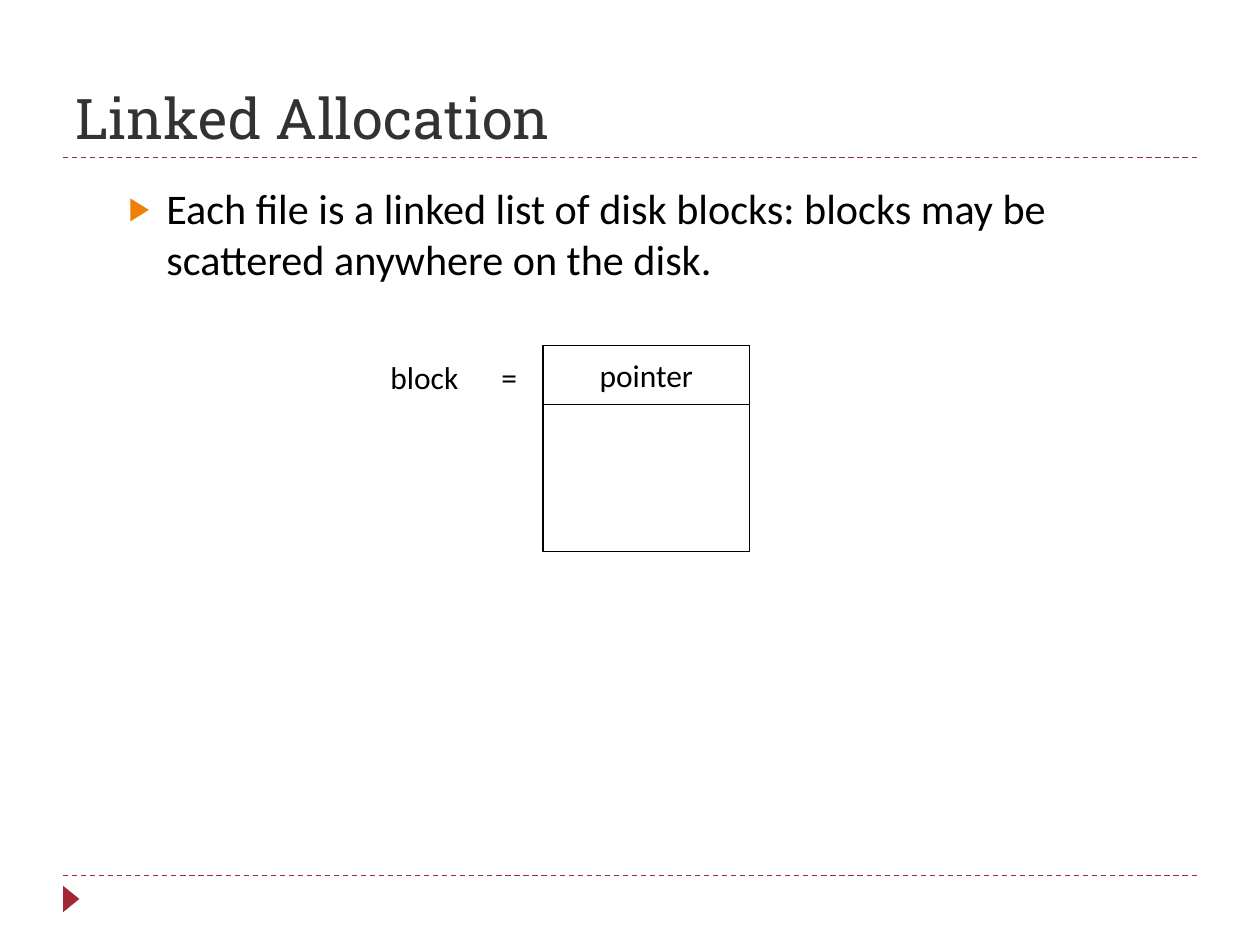
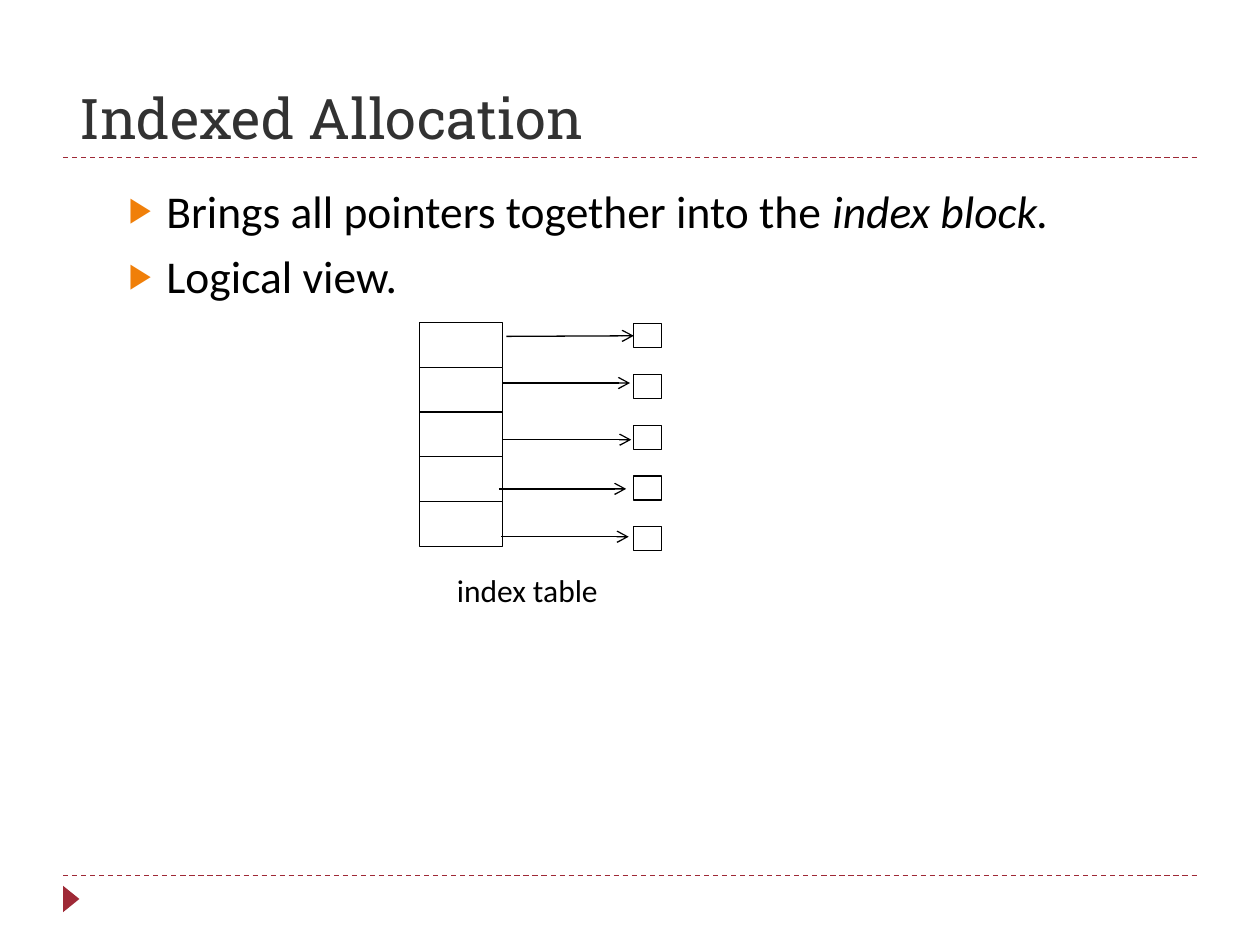
"""Two slides on file allocation: linked blocks and an index table."""
from lxml import etree
from pptx import Presentation
from pptx.dml.color import RGBColor
from pptx.enum import dml, shapes, text
from pptx.oxml import ns
from pptx.util import Inches, Pt

COLORS = {"rule": "9F2936", "title": "323232", "bullet": "F07F09",
          "ink": "000000", "paper": "FFFFFF"}
FONTS = {"head": "Roboto Slab", "body": "Calibri"}
RULES = (6.95, 1.25)
LINKED = {
    "title": "Linked Allocation", "spot": (0.5, 0.17, 9, 1.08),
    "size": 24.1, "body": (0.92, 1.4, 8.04, 0.81),
    "items": [[("Each file is a linked list of disk blocks: blocks may be "
                "scattered anywhere on the disk.", False)]],
}
INDEXED = {
    "title": "Indexed Allocation", "spot": (0.53, 0, 8.17, 1.25),
    "size": 26, "body": (0.92, 1.4, 8.04, 1.02),
    "items": [[("Brings all pointers together into the ", False),
               ("index block.", True)],
              [("Logical view.", False)]],
}
ARROWS = [(4.02, 5.03, 2.67), (3.99, 5, 3.04), (3.99, 5.01, 3.49),
          (3.96, 4.97, 3.88), (3.98, 4.99, 4.26)]


def rgb(name):
    return RGBColor.from_string(COLORS[name])


def style(font, size, color="ink", face="body"):
    font.size, font.name = Pt(size), FONTS[face]
    font.color.rgb = rgb(color)


def place(shape, spot):
    shape.left, shape.top, shape.width, shape.height = map(Inches, spot)


def add_tag(parent, tag, **attrs):
    return etree.SubElement(parent, ns.qn(tag), **attrs)


def add_line(slide, start, end, color="ink"):
    points = map(Inches, (*start, *end))
    line = slide.shapes.add_connector(shapes.MSO_CONNECTOR.STRAIGHT, *points)
    line.line.color.rgb, line.line.width = rgb(color), Pt(0.75)
    add_tag(line._element.spPr, "a:effectLst")
    return line


def add_arrow(slide, start, end):
    line = add_line(slide, start, end)
    add_tag(line.line._get_or_add_ln(), "a:tailEnd", type="arrow")
    return line


def add_box(slide, spot, words=""):
    box = slide.shapes.add_shape(shapes.MSO_SHAPE.RECTANGLE, *map(Inches, spot))
    box.shadow.inherit = False
    box.fill.solid()
    box.fill.fore_color.rgb = rgb("paper")
    box.line.color.rgb, box.line.width = rgb("ink"), Pt(0.75)
    if words:
        set_label(box.text_frame, words)
    return box


def set_label(frame, words, align=text.PP_ALIGN.CENTER, tab=None):
    frame.text, frame.word_wrap = words, False
    frame.vertical_anchor = text.MSO_ANCHOR.MIDDLE
    para = frame.paragraphs[0]
    para.alignment = align
    if tab:
        tabs = add_tag(para._p.get_or_add_pPr(), "a:tabLst")
        add_tag(tabs, "a:tab", pos=str(Inches(tab)), algn="l")
    for run in para.runs:
        style(run.font, 18)


def add_label(slide, spot, words, **opts):
    box = slide.shapes.add_textbox(*map(Inches, spot))
    set_label(box.text_frame, words, **opts)


def add_bullet(para):
    props = para._p.get_or_add_pPr()
    props.set("marL", str(Inches(0.3)))
    props.set("indent", str(-Inches(0.3)))
    add_tag(add_tag(props, "a:buClr"), "a:srgbClr", val=COLORS["bullet"])
    add_tag(props, "a:buSzPct", val="76000")
    add_tag(props, "a:buChar", char="▶")


def fill_list(frame, items, size):
    frame.auto_size = text.MSO_AUTO_SIZE.NONE
    for row, item in enumerate(items):
        para = frame.add_paragraph() if row else frame.paragraphs[0]
        add_bullet(para)
        para.space_before = Pt(6 if row else 0)
        for words, slant in item:
            run = para.add_run()
            run.text = words
            style(run.font, size)
            run.font.italic = slant


def add_slide(deck, data):
    slide = deck.slides.add_slide(deck.slide_layouts[1])
    for y in RULES:
        rule = add_line(slide, (0.5, y), (9.5, y), "rule")
        rule.line.dash_style = dml.MSO_LINE.DASH
    mark = slide.shapes.add_shape(shapes.MSO_SHAPE.ISOSCELES_TRIANGLE,
                                  *map(Inches, (0.46, 7.07, 0.21, 0.13)))
    mark.rotation, mark.shadow.inherit = 90, False
    mark.fill.solid()
    mark.fill.fore_color.rgb = rgb("rule")
    mark.line.fill.background()
    title, body = slide.placeholders
    place(title, data["spot"])
    frame = title.text_frame
    frame.text, frame.vertical_anchor = data["title"], text.MSO_ANCHOR.BOTTOM
    frame.auto_size = text.MSO_AUTO_SIZE.NONE
    frame.paragraphs[0].alignment = text.PP_ALIGN.LEFT
    style(frame.paragraphs[0].runs[0].font, 32, "title", "head")
    place(body, data["body"])
    fill_list(body.text_frame, data["items"], data["size"])
    return slide


def draw_block(slide):
    add_box(slide, (4.31, 2.74, 1.64, 0.47), "pointer")
    add_box(slide, (4.31, 3.21, 1.64, 1.17))
    add_label(slide, (3, 2.79, 1.28, 0.4), "block\t=",
              align=text.PP_ALIGN.LEFT, tab=0.88)


def draw_index(slide):
    count = len(ARROWS)
    for row in range(count):
        add_box(slide, (3.33, 2.56 + row * 0.355, 0.66, 0.36))
    cells = [add_box(slide, (5.03, 2.57 + row * 0.4025, 0.22, 0.19))
             for row in range(count)]
    lines = [add_arrow(slide, (left, y), (right, y)) for left, right, y in ARROWS]
    lines[0].end_connect(cells[0], 1)
    add_label(slide, (3.48, 4.48, 1.41, 0.4), "index table")


def main():
    deck = Presentation()
    deck.slide_width, deck.slide_height = Inches(10), Inches(7.5)
    draw_block(add_slide(deck, LINKED))
    draw_index(add_slide(deck, INDEXED))
    deck.save("out.pptx")


if __name__ == "__main__":
    main()
